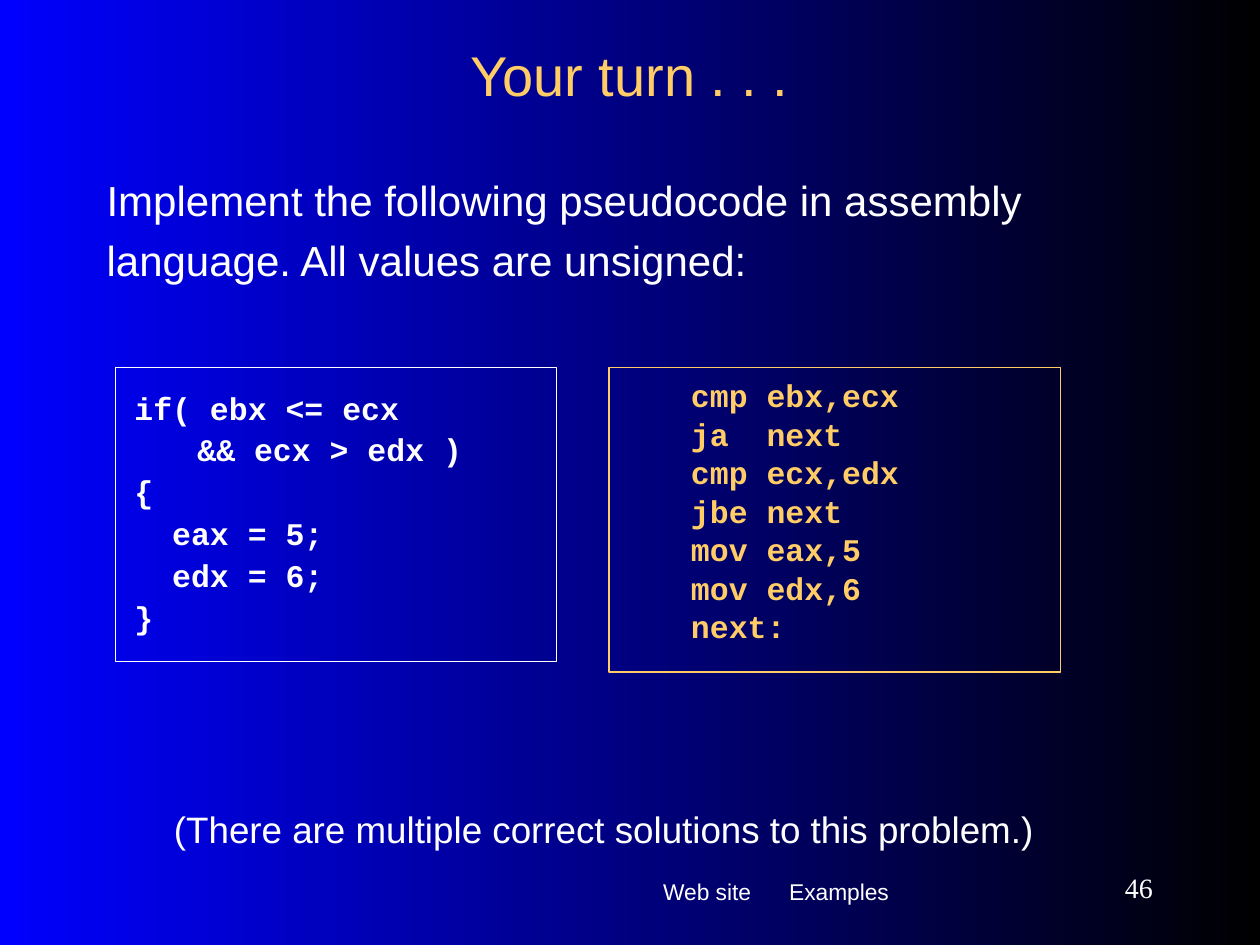
from lxml import etree
from pptx import Presentation
from pptx import util as u
from pptx.dml.color import RGBColor
from pptx.enum import shapes, text
from pptx.oxml.ns import qn

COLORS = {"gold": "FFCC66", "white": "FFFFFF", "black": "000000", "blue": "0000FF"}
ALIGN = text.PP_ALIGN
MIDDLE = text.MSO_ANCHOR.MIDDLE


def rgb(name):
    return RGBColor.from_string(COLORS[name])


class SlideBuilder:
    """Holds the current slide and the style shared by its parts."""

    body_font = "Arial"
    code_font = "Courier New"

    def __init__(self, slide):
        self.slide = slide

    def background(self, start, end, angle):
        fill = self.slide.background.fill
        fill.gradient()
        fill.gradient_angle = angle
        for stop, color, position in zip(fill.gradient_stops, (start, end), (0, 1)):
            stop.color.rgb = rgb(color)
            stop.position = position

    def set_text(self, frame, lines, size, color, font=None, bold=False, align=ALIGN.LEFT,
                 spacing=None, gap=0, indent=0, tab=None, margins=(0.25, 0.13),
                 anchor=text.MSO_ANCHOR.TOP):
        frame.word_wrap = True
        frame.auto_size = text.MSO_AUTO_SIZE.NONE
        frame.vertical_anchor = anchor
        frame.margin_left = frame.margin_right = u.Cm(margins[0])
        frame.margin_top = frame.margin_bottom = u.Cm(margins[1])
        for i, line in enumerate(lines):
            para = frame.add_paragraph() if i else frame.paragraphs[0]
            para.text = line
            para.alignment = align
            para.line_spacing = spacing
            para.space_before = u.Pt(gap if i else 0)
            props = para._p.get_or_add_pPr()
            props.set("marL", str(u.Cm(indent)))
            props.set("indent", "0")
            if tab:
                tabs = etree.SubElement(props, qn("a:tabLst"))
                etree.SubElement(tabs, qn("a:tab"), pos=str(u.Cm(tab)), algn="l")
            para.font.name = font or self.body_font
            para.font.size = u.Pt(size)
            para.font.bold = bold
            para.font.color.rgb = rgb(color)

    def title(self, box, line, **style):
        heading = self.slide.shapes.title
        heading.left, heading.top, heading.width, heading.height = map(u.Cm, box)
        self.set_text(heading.text_frame, [line], align=ALIGN.CENTER, anchor=MIDDLE, **style)

    def label(self, box, line, **style):
        area = self.slide.shapes.add_textbox(*map(u.Cm, box))
        self.set_text(area.text_frame, [line], **style)

    def code(self, box, lines, color, **style):
        panel = self.slide.shapes.add_shape(shapes.MSO_SHAPE.RECTANGLE, *map(u.Cm, box))
        panel.shadow.inherit = False
        panel.fill.background()
        panel.line.color.rgb = rgb(color)
        panel.line.width = u.Pt(0.75)
        self.set_text(panel.text_frame, lines, 18, color, font=self.code_font, bold=True,
                      margins=(0.38, 0.51), **style)


def main():
    deck = Presentation()
    deck.slide_width, deck.slide_height = u.Cm(25.4), u.Cm(19.05)
    page = SlideBuilder(deck.slides.add_slide(deck.slide_layouts[5]))
    page.background("black", "blue", 180)

    # Footer navigation
    page.label((13.12, 17.32, 7.62, 1.32), "Web site\tExamples", size=13, color="white",
               tab=2.41, margins=(0.25, 0.38))

    # Title and task
    page.title((1.9, 0.64, 21.59, 1.7), "Your turn . . .", size=32, color="gold")
    page.label((1.9, 3.18, 21.59, 3.38),
               "Implement the following pseudocode in assembly language. "
               "All values are unsigned:", size=24, color="white", spacing=1.2)

    # Assembly solution
    page.code((12.28, 7.41, 9.1, 6.14),
              ["cmp ebx,ecx", "ja  next", "cmp ecx,edx", "jbe next",
               "mov eax,5", "mov edx,6", "next:"],
              "gold", spacing=0.5, gap=11.2, indent=1.27)

    # Pseudocode
    page.code((2.33, 7.41, 8.89, 5.93),
              ["if( ebx <= ecx", "\t&& ecx > edx )", "{",
               "  eax = 5;", "  edx = 6;", "}"],
              "white", spacing=0.9, gap=4.5, tab=1.27)

    # Closing remark and page number
    page.label((2.12, 15.88, 20.11, 1.65),
               "(There are multiple correct solutions to this problem.)",
               size=21, color="white", align=ALIGN.CENTER, margins=(0.25, 0.38))
    page.label((20.74, 17.36, 2.75, 1.06), "46", size=16, color="white",
               font="Times New Roman", align=ALIGN.RIGHT, anchor=MIDDLE)

    deck.save("out.pptx")


if __name__ == "__main__":
    main()
